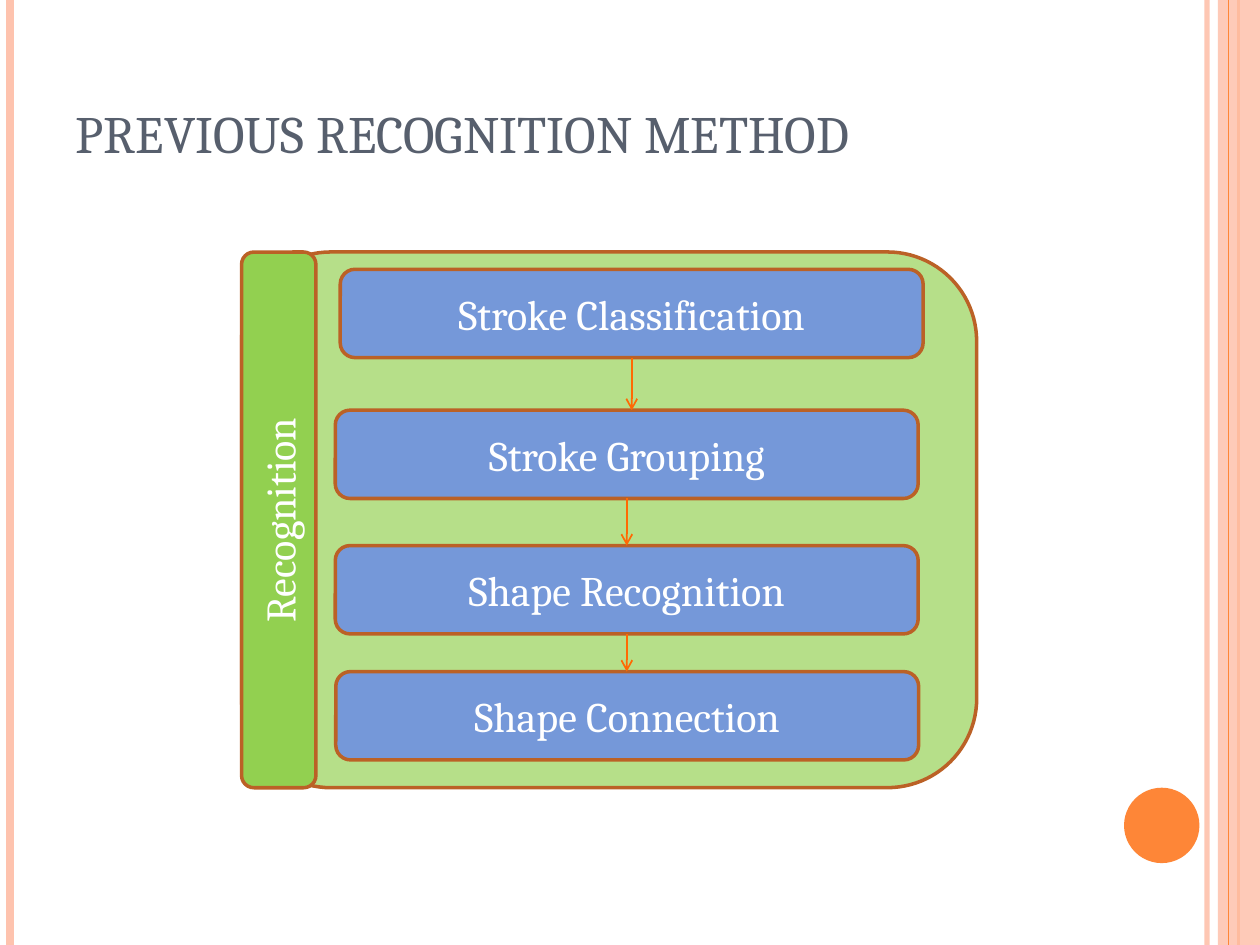
from dataclasses import dataclass
from itertools import pairwise

from lxml.etree import SubElement
from pptx import Presentation
from pptx.dml.color import RGBColor
from pptx.enum.shapes import MSO_CONNECTOR, MSO_SHAPE
from pptx.enum.text import MSO_ANCHOR, MSO_AUTO_SIZE, PP_ALIGN
from pptx.oxml.ns import qn
from pptx.util import Cm, Pt


@dataclass(frozen=True)
class Theme:
    """Colours, font and type sizes of the deck."""
    font: str = "Cambria"
    title_size: int = 30
    label_size: int = 24
    title: str = "575F6D"
    label: str = "FFFFFF"
    accent: str = "FE8637"
    pale: str = "FEC3AE"
    outline: str = "BB6126"
    panel: str = "B6DF89"
    band: str = "92D050"
    step: str = "7598D9"
    arrow: str = "FF6903"


class SlideBuilder:
    """Draws styled elements on the current slide."""

    def __init__(self, page, theme):
        """Keep the page and its theme."""
        self.page = page
        self.theme = theme

    def add_run(self, para, text, size, color):
        """Append one formatted run to a paragraph."""
        span = para.add_run()
        span.text = text
        span.font.name = self.theme.font
        span.font.size = Pt(size)
        span.font.color.rgb = RGBColor.from_string(color)

    def set_alpha(self, fill, percent):
        """Make a solid fill partly transparent."""
        color = next(fill.iter(qn("a:srgbClr")))
        SubElement(color, qn("a:alpha"), val=str(percent * 1000))

    def title(self, text, left, top, width, height):
        """Place and fill the title placeholder."""
        box = self.page.shapes.title
        box.left, box.top, box.width, box.height = map(Cm, (left, top, width, height))
        frame = box.text_frame
        frame.word_wrap = True
        frame.auto_size = MSO_AUTO_SIZE.NONE
        frame.vertical_anchor = MSO_ANCHOR.TOP
        para = frame.paragraphs[0]
        para.alignment = PP_ALIGN.LEFT
        self.add_run(para, text, self.theme.title_size, self.theme.title)

    def shape(self, kind, left, top, width, height, fill, outline=None, alpha=None):
        """Add a filled preset shape."""
        box = self.page.shapes.add_shape(kind, *map(Cm, (left, top, width, height)))
        box.shadow.inherit = False
        box.fill.solid()
        box.fill.fore_color.rgb = RGBColor.from_string(fill)
        if alpha:
            self.set_alpha(box.element.spPr, alpha)
        if outline:
            box.line.color.rgb = RGBColor.from_string(outline)
            box.line.width = Pt(2)
        else:
            box.line.fill.background()
        return box

    def block(self, left, top, width, height, fill, text=None, rotation=0):
        """Add an outlined rounded block with an optional centred label."""
        box = self.shape(MSO_SHAPE.ROUNDED_RECTANGLE, left, top, width, height,
                         fill, self.theme.outline)
        box.rotation = rotation
        if text:
            frame = box.text_frame
            frame.word_wrap = True
            frame.vertical_anchor = MSO_ANCHOR.MIDDLE
            para = frame.paragraphs[0]
            para.alignment = PP_ALIGN.CENTER
            self.add_run(para, text, self.theme.label_size, self.theme.label)

    def vertical(self, x, top, bottom, color, weight, alpha=None, arrow=False):
        """Add a vertical line, with an arrowhead below if wanted."""
        line = self.page.shapes.add_connector(
            MSO_CONNECTOR.STRAIGHT, *map(Cm, (x, top, x, bottom)))
        line.line.color.rgb = RGBColor.from_string(color)
        line.line.width = Pt(weight)
        properties = line.element.spPr
        if alpha:
            self.set_alpha(properties, alpha)
        if arrow:
            SubElement(properties.find(qn("a:ln")), qn("a:tailEnd"), type="arrow")
        SubElement(properties, qn("a:effectLst"))


def draw_frame(builder, height):
    """Draw the stripes and the dot at the slide edges."""
    theme = builder.theme
    builder.vertical(24.33, 0, height, theme.pale, 3, alpha=93)
    builder.vertical(0.21, 0, height, theme.pale, 4.5)
    builder.vertical(24.97, 0, height, theme.accent, 1.5)
    builder.shape(MSO_SHAPE.RECTANGLE, 24.55, 0, 0.85, height, theme.pale, alpha=87)
    builder.vertical(24.77, 0, height, theme.accent, 0.75)
    builder.shape(MSO_SHAPE.OVAL, 22.66, 15.88, 1.52, 1.52, theme.accent)


def draw_recognition(builder):
    """Draw the recognition panel with its chain of steps."""
    theme = builder.theme
    left, top, width, height = 4.87, 5.08, 14.82, 10.8
    band = 1.5
    builder.block(left, top, width, height, theme.panel)
    builder.block(left + (band - height) / 2, top + (height - band) / 2, height, band,
                  theme.band, "Recognition", rotation=270)

    step_width, step_height = 11.75, 1.78
    steps = [
        ("Stroke Classification", 6.86, 5.43),
        ("Stroke Grouping", 6.76, 8.27),
        ("Shape Recognition", 6.76, 11),
        ("Shape Connection", 6.77, 13.54),
    ]
    for text, x, y in steps:
        builder.block(x, y, step_width, step_height, theme.step, text)
    for (_, x, y), (_, _, next_y) in pairwise(steps):
        builder.vertical(x + step_width / 2, y + step_height, next_y,
                         theme.arrow, 1, arrow=True)


def main():
    """Build and save the deck."""
    deck = Presentation()
    deck.slide_width, deck.slide_height = Cm(25.4), Cm(19.05)
    page = deck.slides.add_slide(deck.slide_layouts.get_by_name("Title Only"))
    builder = SlideBuilder(page, Theme())
    draw_frame(builder, 19.05)
    builder.title("PREVIOUS RECOGNITION METHOD", 1.27, 1.9, 20.75, 2.03)
    draw_recognition(builder)
    deck.save("out.pptx")


if __name__ == "__main__":
    main()
